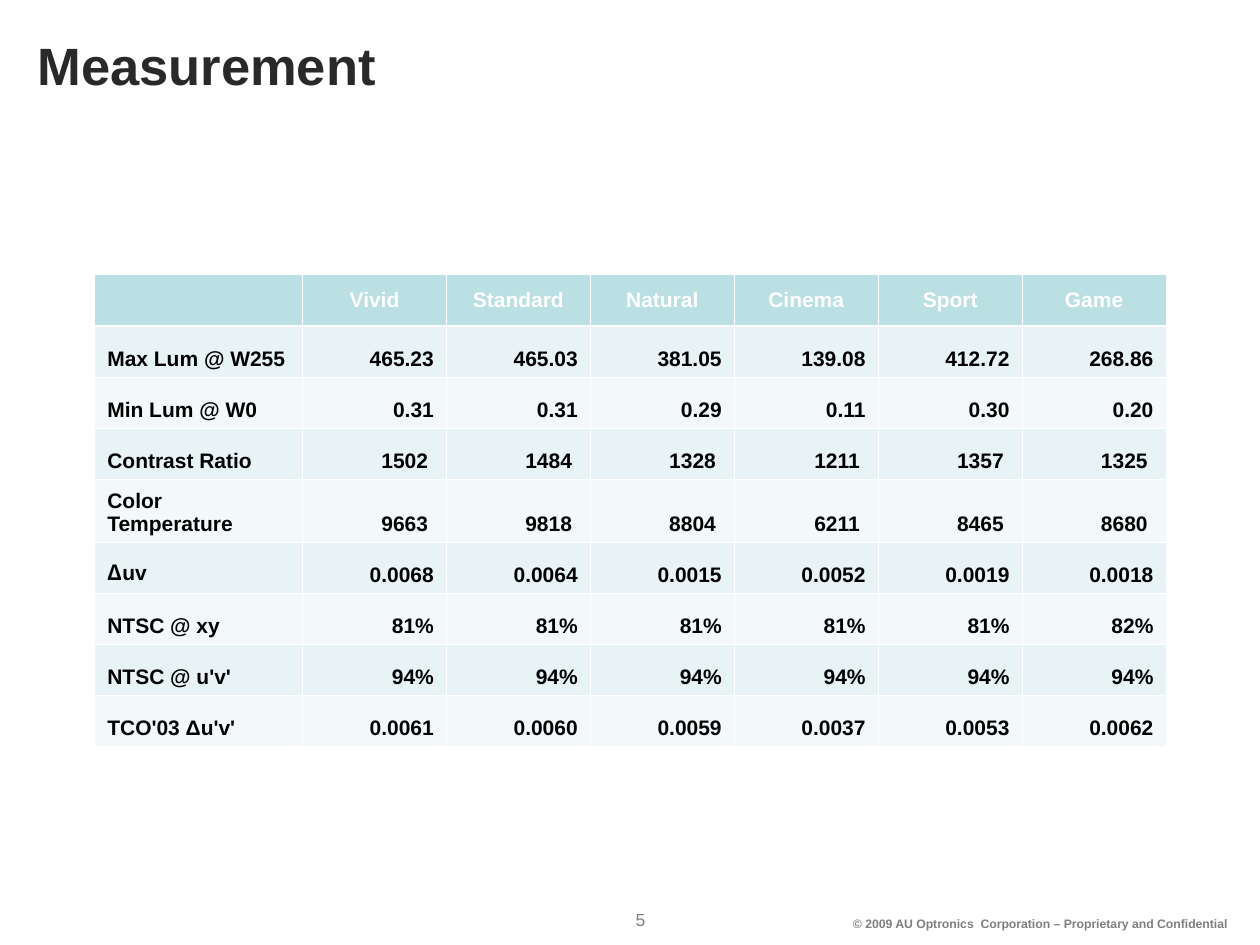
from dataclasses import dataclass

import lxml.etree
import pptx
import pptx.dml.color
import pptx.enum.text
import pptx.oxml.ns
import pptx.util

Cm = pptx.util.Cm
Pt = pptx.util.Pt
ALIGN = pptx.enum.text.PP_ALIGN
ANCHOR = pptx.enum.text.MSO_ANCHOR


@dataclass(frozen=True)
class Theme:
    font: str = "Arial"
    delta_font: str = "Noto Sans CJK TC"
    title: str = "292929"
    text: str = "000000"
    muted: str = "808080"
    white: str = "FFFFFF"
    header: str = "BBE0E3"
    bands: tuple = ("E7F3F4", "F3F9FA")
    title_size: float = 30
    table_size: float = 12
    number_size: float = 10
    copyright_size: float = 7
    thin_rule: float = 0.45
    thick_rule: float = 1.47


@dataclass(frozen=True)
class Box:
    left: float
    top: float
    width: float
    height: float

    def lengths(self):
        return Cm(self.left), Cm(self.top), Cm(self.width), Cm(self.height)


THEME = Theme()
LABEL_WIDTH = 4.19
MODES = ["Vivid", "Standard", "Natural", "Cinema", "Sport", "Game"]
MEASUREMENTS = [
    ("Max Lum @ W255", ["465.23", "465.03", "381.05", "139.08", "412.72", "268.86"]),
    ("Min Lum @ W0", ["0.31", "0.31", "0.29", "0.11", "0.30", "0.20"]),
    ("Contrast Ratio", ["1502 ", "1484 ", "1328 ", "1211 ", "1357 ", "1325 "]),
    ("Color Temperature", ["9663 ", "9818 ", "8804 ", "6211 ", "8465 ", "8680 "]),
    ("Δuv", ["0.0068", "0.0064", "0.0015", "0.0052", "0.0019", "0.0018"]),
    ("NTSC @ xy", ["81%", "81%", "81%", "81%", "81%", "82%"]),
    ("NTSC @ u'v'", ["94%"] * 6),
    ("TCO'03 Δu'v'", ["0.0061", "0.0060", "0.0059", "0.0037", "0.0053", "0.0062"]),
]


def rgb(value):
    return pptx.dml.color.RGBColor.from_string(value)


def style(paragraph, size, color, align=ALIGN.LEFT, bold=True):
    paragraph.alignment = align
    paragraph.font.name = THEME.font
    paragraph.font.size = Pt(size)
    paragraph.font.bold = bold
    paragraph.font.color.rgb = rgb(color)


def set_borders(cell, top, bottom):
    properties = cell._tc.get_or_add_tcPr()
    widths = {"lnL": THEME.thin_rule, "lnR": THEME.thin_rule, "lnT": top, "lnB": bottom}
    for position, (side, width) in enumerate(widths.items()):
        line = lxml.etree.Element(pptx.oxml.ns.qn(f"a:{side}"), w=str(int(Pt(width))))
        fill = lxml.etree.SubElement(line, pptx.oxml.ns.qn("a:solidFill"))
        lxml.etree.SubElement(fill, pptx.oxml.ns.qn("a:srgbClr"), val=THEME.white)
        properties.insert(position, line)


def add_title(slide, box):
    title = slide.shapes.title
    title.left, title.top, title.width, title.height = box.lengths()
    frame = title.text_frame
    frame.text = "Measurement"
    frame.auto_size = pptx.enum.text.MSO_AUTO_SIZE.NONE
    frame.vertical_anchor = ANCHOR.TOP
    style(frame.paragraphs[0], THEME.title_size, THEME.title)


def write_label(paragraph, label):
    if label.startswith("Δ"):
        delta = paragraph.add_run()
        delta.text = "Δ"
        delta.font.name = THEME.delta_font
        label = label[1:]
    paragraph.add_run().text = label


def add_measurements(slide, box):
    rows = [("", MODES)] + MEASUREMENTS
    table = slide.shapes.add_table(len(rows), len(MODES) + 1, *box.lengths()).table
    mode_width = (box.width - LABEL_WIDTH) / len(MODES)
    for index, column in enumerate(table.columns):
        column.width = Cm(mode_width if index else LABEL_WIDTH)
    for row_index, (label, values) in enumerate(rows):
        table.rows[row_index].height = Cm(box.height / len(rows))
        is_header = row_index == 0
        for column_index, value in enumerate([label] + values):
            cell = table.cell(row_index, column_index)
            cell.fill.solid()
            cell.fill.fore_color.rgb = rgb(
                THEME.header if is_header else THEME.bands[(row_index - 1) % 2])
            cell.vertical_anchor = ANCHOR.MIDDLE if is_header else ANCHOR.BOTTOM
            set_borders(
                cell,
                THEME.thick_rule if row_index == 1 else THEME.thin_rule,
                THEME.thick_rule if is_header else THEME.thin_rule)
            paragraph = cell.text_frame.paragraphs[0]
            if value:
                write_label(paragraph, value)
            if is_header:
                cell.margin_left = cell.margin_right = Cm(0.03)
                align = ALIGN.CENTER
            else:
                align = ALIGN.RIGHT if column_index else ALIGN.LEFT
            style(paragraph, THEME.table_size,
                  THEME.white if is_header else THEME.text, align)


def add_footer_text(slide, box, text, size, bold, wrap):
    frame = slide.shapes.add_textbox(*box.lengths()).text_frame
    frame.word_wrap = wrap
    frame.text = text
    style(frame.paragraphs[0], size, THEME.muted, ALIGN.CENTER, bold)


def add_footer(slide, box):
    add_footer_text(
        slide, Box(box.left + 12.06, box.top, 1.7, 0.69),
        "5", THEME.number_size, False, True)
    add_footer_text(
        slide, Box(box.left + 16.94, box.top + 0.13, 8.13, 0.56),
        "© 2009 AU Optronics  Corporation – Proprietary and Confidential ",
        THEME.copyright_size, True, False)


def main():
    deck = pptx.Presentation()
    deck.slide_width, deck.slide_height = Cm(25.4), Cm(19.05)
    slide = deck.slides.add_slide(deck.slide_layouts.get_by_name("Title Only"))
    add_footer(slide, Box(0, 18.21, 25.4, 0.84))
    add_title(slide, Box(0.5, 0.53, 21.4, 3.18))
    add_measurements(slide, Box(1.91, 5.54, 21.6, 9.27))
    deck.save("out.pptx")


if __name__ == "__main__":
    main()
